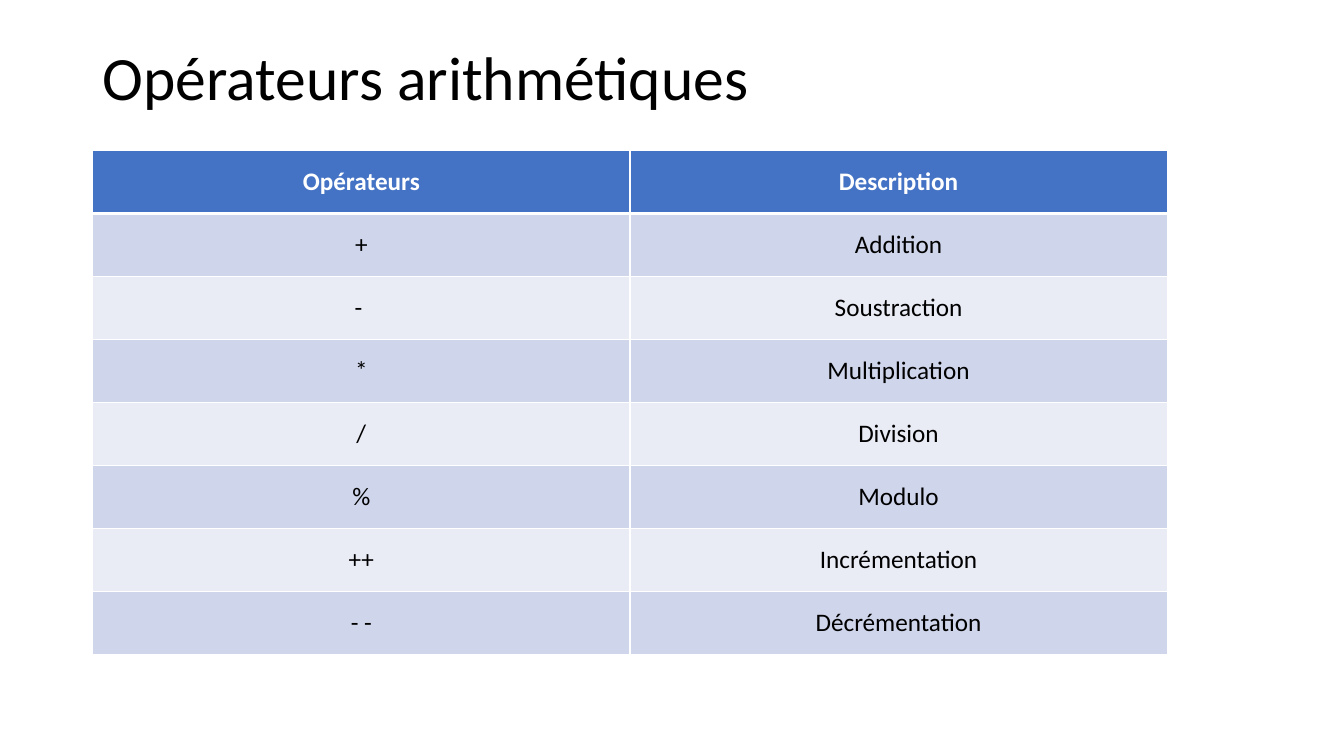
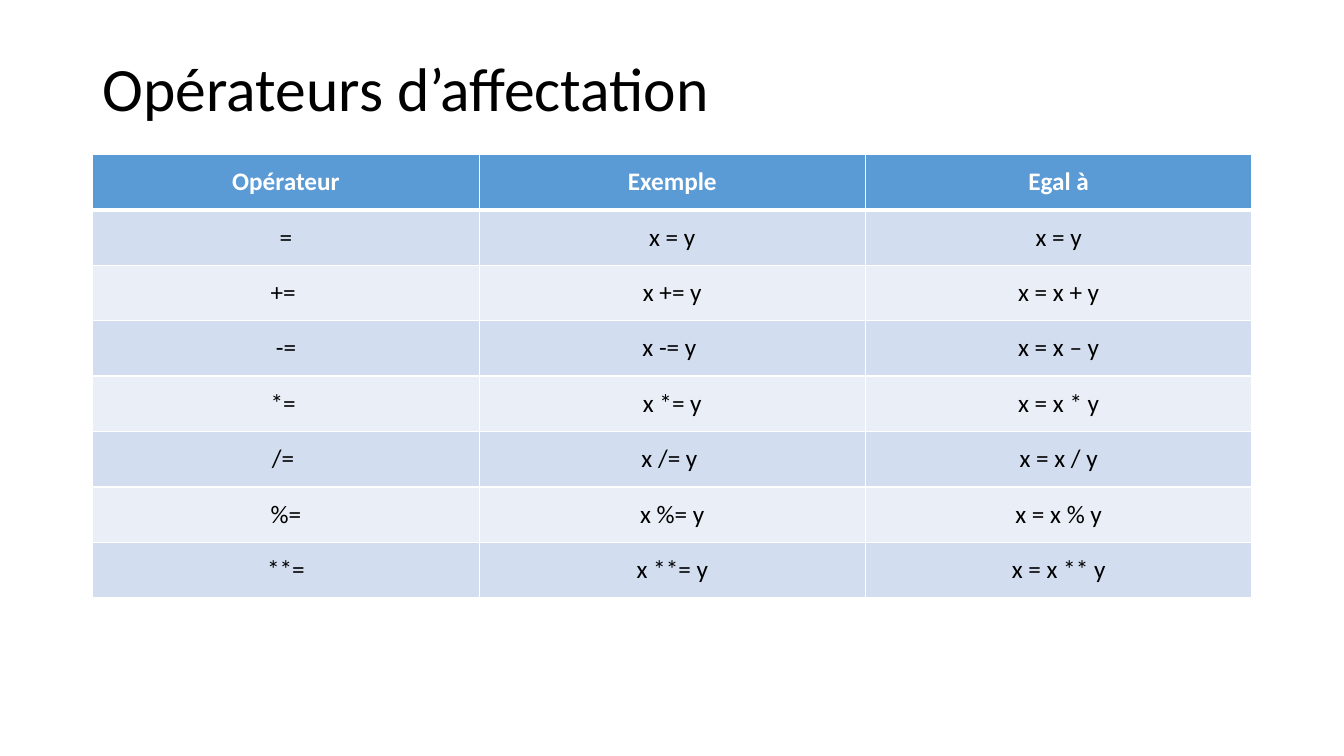
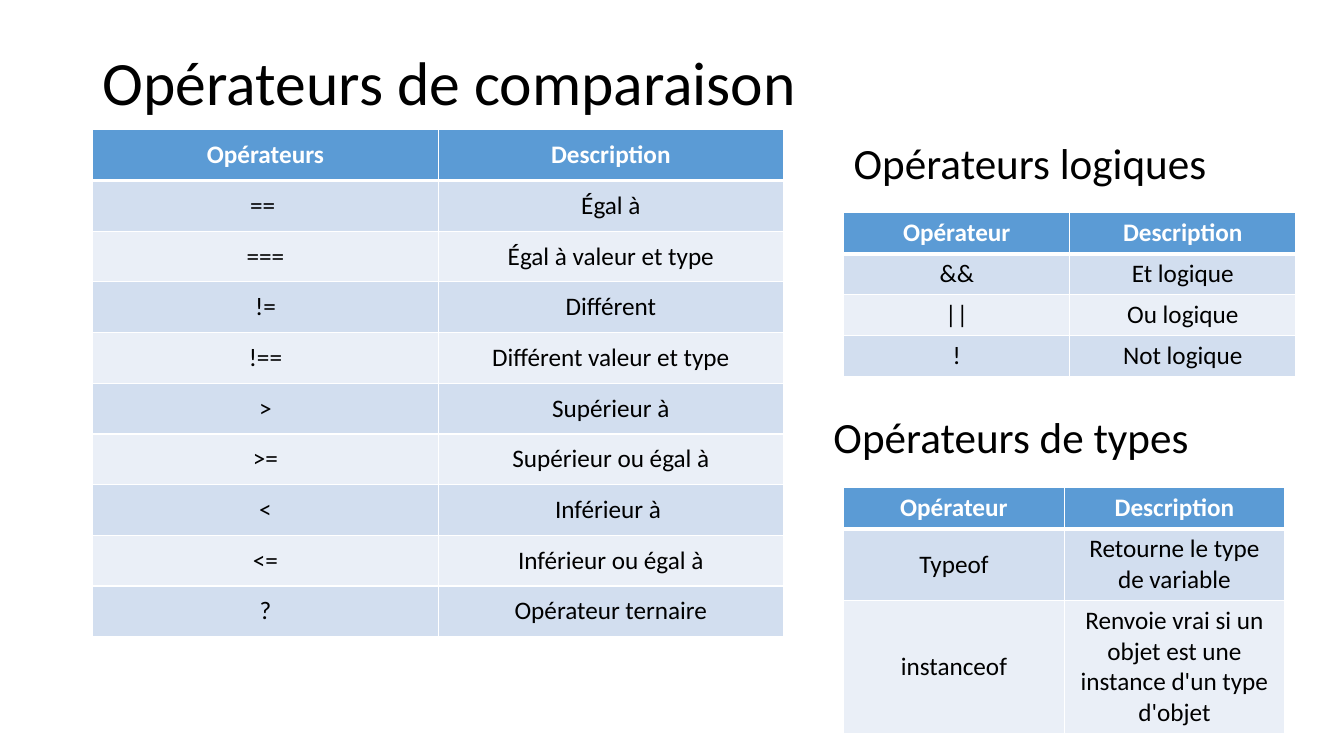
"""Build three slides of operator tables."""
from dataclasses import dataclass

from lxml.etree import SubElement
from pptx import Presentation
from pptx.dml.color import RGBColor
from pptx.enum.text import MSO_ANCHOR, MSO_AUTO_SIZE, PP_ALIGN
from pptx.oxml.ns import qn
from pptx.slide import Slide
from pptx.table import _Cell
from pptx.text.text import TextFrame
from pptx.util import Pt

FONT = "Calibri"
COLORS = {
    "text": "000000",
    "white": "FFFFFF",
    "indigo": "4472C4",
    "indigo_dark_band": "CFD5EA",
    "indigo_light_band": "E9EBF5",
    "blue": "5B9BD5",
    "blue_dark_band": "D2DEEF",
    "blue_light_band": "EAEFF7",
}
LEFT_MARGIN = 66.24
RIGHT_COLUMN = 602.64
TITLE_TOP = 28.75
TITLE_WIDTH = 828
TITLE_SIZE = 44
SUBTITLE_SIZE = 30.8
TABLE_SIZE = 18
THIN_BORDER = 1
HEADER_BORDER = 3


@dataclass(frozen=True)
class Box:
    """Position and size in points."""
    left: float
    top: float
    width: float
    height: float


@dataclass(frozen=True)
class Heading:
    """A secondary heading and its place."""
    text: str
    box: Box


@dataclass(frozen=True)
class OperatorTable:
    """A table whose first row is its header."""
    box: Box
    rows: tuple[tuple[str, ...], ...]
    palette: str = "blue"


@dataclass(frozen=True)
class OperatorSlide:
    """A titled slide with its tables and headings."""
    title: str
    title_height: float
    tables: tuple[OperatorTable, ...]
    headings: tuple[Heading, ...] = ()


SLIDES = (
    OperatorSlide(
        "Opérateurs arithmétiques ", 56.9,
        (OperatorTable(Box(LEFT_MARGIN, 107.5, 767.5, 360), (
            ("Opérateurs", "Description"),
            ("+", "Addition"),
            ("- ", "Soustraction"),
            ("*", "Multiplication"),
            ("/", "Division"),
            ("%", "Modulo"),
            ("++", "Incrémentation"),
            ("- -", "Décrémentation"),
        ), "indigo"),),
    ),
    OperatorSlide(
        "Opérateurs d’affectation", 72.7,
        (OperatorTable(Box(LEFT_MARGIN, 110.2, 828, 317), (
            ("Opérateur", "Exemple", "Egal à"),
            ("=", "x = y", "x = y"),
            ("+= ", "x += y", "x = x + y"),
            ("-=", "x -= y ", "x = x – y"),
            ("*= ", "x *= y", "x = x * y"),
            ("/= ", "x /= y ", "x = x / y"),
            ("%=", "x %= y", "x = x % y"),
            ("**=", "x **= y", "x = x ** y"),
        )),),
    ),
    OperatorSlide(
        "Opérateurs de comparaison", 64,
        (
            OperatorTable(Box(LEFT_MARGIN, 92.75, 493.5, 362), (
                ("Opérateurs", "Description"),
                ("== ", "Égal à"),
                ("===", "Égal à valeur et type"),
                ("!=", "Différent"),
                ("!==", "Différent valeur et type"),
                (">", "Supérieur à"),
                (">=", "Supérieur ou égal à"),
                ("<", "Inférieur à "),
                ("<=", "Inférieur ou égal à"),
                ("?", "Opérateur ternaire"),
            )),
            OperatorTable(Box(RIGHT_COLUMN, 152, 323, 116.8), (
                ("Opérateur", "Description"),
                ("&&", "Et logique"),
                ("||", "Ou logique"),
                ("!", "Not logique"),
            )),
            OperatorTable(Box(RIGHT_COLUMN, 348.5, 315, 87.6), (
                ("Opérateur", "Description"),
                ("Typeof", "Retourne le type de variable"),
                ("instanceof", "Renvoie vrai si un objet est une instance d'un type d'objet"),
            )),
        ),
        (
            Heading("Opérateurs logiques", Box(RIGHT_COLUMN, 88.5, 270, 64)),
            Heading("Opérateurs de types", Box(588.24, 284.4, 270, 64)),
        ),
    ),
)


def rgb(name: str) -> RGBColor:
    """Return a named colour."""
    return RGBColor.from_string(COLORS[name])


def lengths(box: Box) -> tuple[Pt, Pt, Pt, Pt]:
    """Return the box as four lengths."""
    return Pt(box.left), Pt(box.top), Pt(box.width), Pt(box.height)


def write(frame: TextFrame, text: str, size: float, alignment: PP_ALIGN,
          color: str = "text", bold: bool = False, spacing: float = 1.0) -> None:
    """Write one formatted run in a text frame."""
    paragraph = frame.paragraphs[0]
    paragraph.alignment = alignment
    paragraph.line_spacing = spacing
    run = paragraph.add_run()
    run.text = text
    run.font.name = FONT
    run.font.size = Pt(size)
    run.font.bold = bold
    run.font.color.rgb = rgb(color)


def write_heading(frame: TextFrame, text: str, size: float, spacing: float) -> None:
    """Write a left-aligned heading centred on its height."""
    frame.word_wrap = True
    frame.auto_size = MSO_AUTO_SIZE.NONE
    frame.vertical_anchor = MSO_ANCHOR.MIDDLE
    write(frame, text, size, PP_ALIGN.LEFT, spacing=spacing)


def add_borders(cell: _Cell, row_index: int) -> None:
    """Give a cell white borders, heavier under the header."""
    widths = {
        "L": THIN_BORDER,
        "R": THIN_BORDER,
        "T": HEADER_BORDER if row_index == 1 else THIN_BORDER,
        "B": HEADER_BORDER if row_index == 0 else THIN_BORDER,
    }
    properties = cell._tc.get_or_add_tcPr()
    for side, width in widths.items():
        line = SubElement(properties, qn(f"a:ln{side}"), w=str(Pt(width)))
        fill = SubElement(line, qn("a:solidFill"))
        SubElement(fill, qn("a:srgbClr"), val=COLORS["white"])


def format_cell(cell: _Cell, text: str, row_index: int, palette: str) -> None:
    """Fill, border and write one cell."""
    header = row_index == 0
    band = "dark" if row_index % 2 else "light"
    add_borders(cell, row_index)
    cell.fill.solid()
    cell.fill.fore_color.rgb = rgb(palette if header else f"{palette}_{band}_band")
    cell.vertical_anchor = MSO_ANCHOR.MIDDLE
    write(cell.text_frame, text, TABLE_SIZE, PP_ALIGN.CENTER,
          "white" if header else "text", header)


def add_operator_table(slide: Slide, content: OperatorTable) -> None:
    """Add a table with equal columns and rows."""
    rows = content.rows
    table = slide.shapes.add_table(len(rows), len(rows[0]), *lengths(content.box)).table
    for row_index, texts in enumerate(rows):
        for column_index, text in enumerate(texts):
            format_cell(table.cell(row_index, column_index), text, row_index, content.palette)


def add_operator_slide(presentation: Presentation, content: OperatorSlide) -> None:
    """Add a slide with its title, tables and headings."""
    slide = presentation.slides.add_slide(presentation.slide_layouts.get_by_name("Title Only"))
    title = slide.shapes.title
    box = Box(LEFT_MARGIN, TITLE_TOP, TITLE_WIDTH, content.title_height)
    title.left, title.top, title.width, title.height = lengths(box)
    write_heading(title.text_frame, content.title, TITLE_SIZE, 0.9)
    for table in content.tables:
        add_operator_table(slide, table)
    for heading in content.headings:
        shape = slide.shapes.add_textbox(*lengths(heading.box))
        write_heading(shape.text_frame, heading.text, SUBTITLE_SIZE, 0.7)


def main() -> None:
    """Build and save the presentation."""
    presentation = Presentation()
    presentation.slide_width, presentation.slide_height = Pt(960), Pt(540)
    for content in SLIDES:
        add_operator_slide(presentation, content)
    presentation.save("out.pptx")


main()
